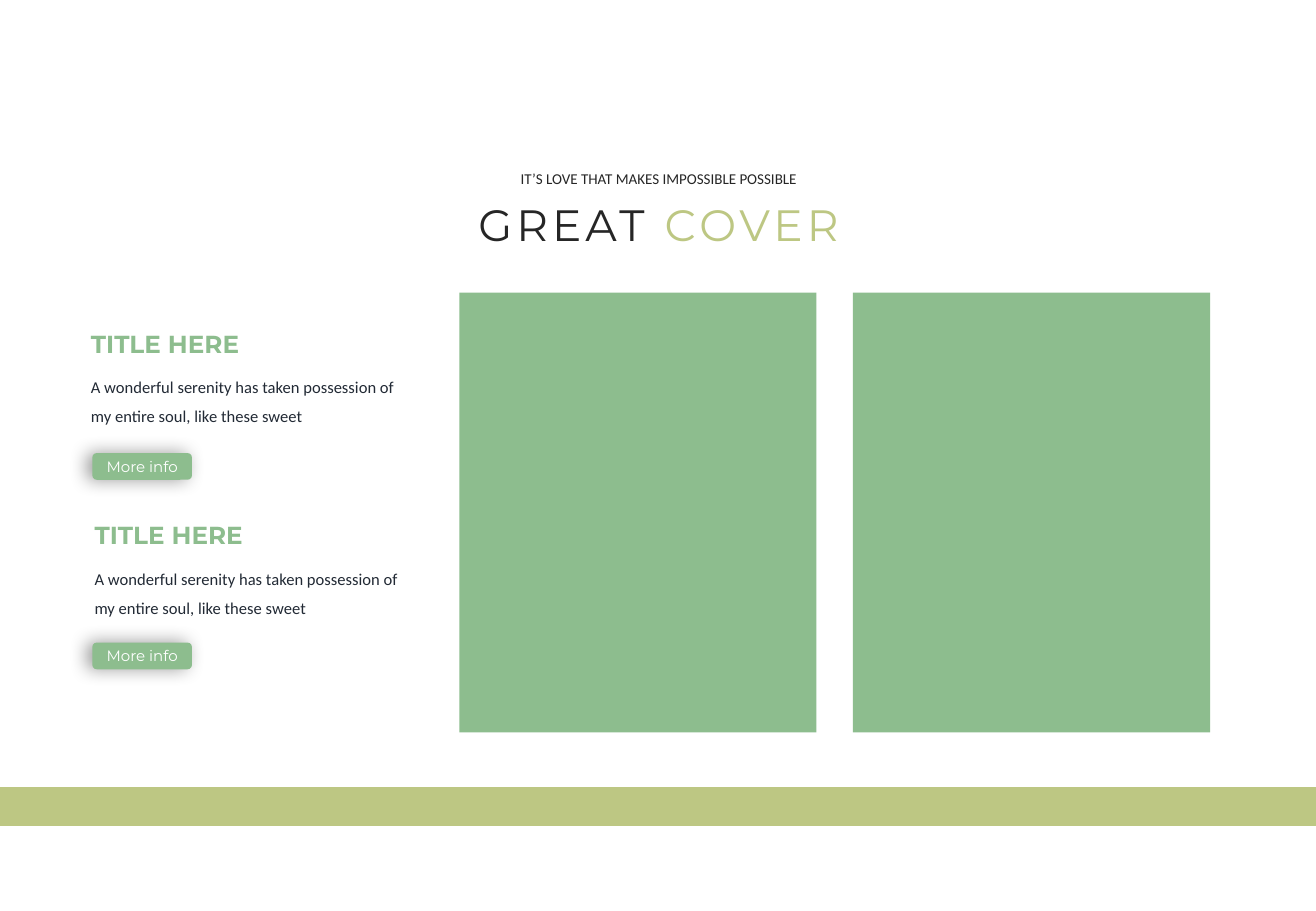
from dataclasses import dataclass

import pptx
import pptx.dml.color
import pptx.enum.shapes
import pptx.enum.text
import pptx.oxml
import pptx.oxml.ns
import pptx.shapes.autoshape
import pptx.slide
import pptx.text.text
import pptx.util
from pptx.util import Inches

GREEN = "8DBD8E"
OLIVE = "BDC783"
DARK = "262626"
NAVY = "222A35"
WHITE = "FFFFFF"

SHAPES = pptx.enum.shapes.MSO_SHAPE
ALIGN = pptx.enum.text.PP_ALIGN
ANCHOR = pptx.enum.text.MSO_ANCHOR


@dataclass(frozen=True)
class Box:
    left: float
    top: float
    width: float
    height: float

    def lengths(self) -> tuple[pptx.util.Length, ...]:
        return tuple(Inches(n) for n in (self.left, self.top, self.width, self.height))


@dataclass(frozen=True)
class TextStyle:
    font: str
    size: float
    color: str
    bold: bool = False
    align: ALIGN = ALIGN.LEFT
    line_spacing: float = 1.0


@dataclass(frozen=True)
class InfoBlock:
    heading: Box
    description: Box
    button: Box


TITLE = TextStyle("Montserrat", 26, DARK, align=ALIGN.CENTER)
SUBTITLE = TextStyle("Calibri", 8.9, DARK, align=ALIGN.CENTER)
HEADING = TextStyle("Montserrat", 14.6, GREEN, bold=True)
DESCRIPTION = TextStyle("Calibri", 9.8, NAVY, line_spacing=1.5)
BUTTON = TextStyle("Montserrat", 8.9, WHITE, align=ALIGN.CENTER)

PHOTO_PANELS = [Box(left, 2.41, 2.94, 3.62) for left in (3.78, 7.02)]
FOOTER_BAND = Box(0, 6.48, 10.83, 0.32)
INFO_BLOCKS = [
    InfoBlock(
        Box(left, top, 2.32, 0.35),
        Box(left, description_top, 2.67, 0.57),
        Box(0.76, button_top, 0.82, 0.22),
    )
    for left, top, description_top, button_top in (
        (0.65, 2.66, 2.97, 3.73),
        (0.68, 4.23, 4.55, 5.29),
    )
]


def rgb(color: str) -> pptx.dml.color.RGBColor:
    return pptx.dml.color.RGBColor.from_string(color)


def format_run(run: pptx.text.text._Run, style: TextStyle) -> None:
    run.font.name = style.font
    run.font.size = pptx.util.Pt(style.size)
    run.font.bold = style.bold
    run.font.color.rgb = rgb(style.color)


def write_text(frame: pptx.text.text.TextFrame, text: str, style: TextStyle) -> None:
    frame.text = text
    paragraph = frame.paragraphs[0]
    paragraph.alignment = style.align
    paragraph.line_spacing = style.line_spacing
    format_run(paragraph.runs[0], style)


def add_text(
    slide: pptx.slide.Slide, box: Box, text: str, style: TextStyle, wrap: bool = True
) -> None:
    frame = slide.shapes.add_textbox(*box.lengths()).text_frame
    frame.word_wrap = wrap
    frame.margin_right = Inches(0.05 if wrap else 0.1)
    write_text(frame, text, style)


def add_block(
    slide: pptx.slide.Slide, box: Box, color: str, kind: SHAPES = SHAPES.RECTANGLE
) -> pptx.shapes.autoshape.Shape:
    shape = slide.shapes.add_shape(kind, *box.lengths())
    shape.shadow.inherit = False
    shape.fill.solid()
    shape.fill.fore_color.rgb = rgb(color)
    shape.line.fill.background()
    return shape


def add_left_shadow(shape: pptx.shapes.autoshape.Shape) -> None:
    effects = shape._element.spPr.find(pptx.oxml.ns.qn("a:effectLst"))
    effects.append(
        pptx.oxml.parse_xml(
            f'<a:outerShdw {pptx.oxml.ns.nsdecls("a")} blurRad="{pptx.util.Pt(11)}" '
            f'dist="{pptx.util.Pt(3)}" dir="{180 * 60000}" algn="r" rotWithShape="0">'
            '<a:srgbClr val="000000"><a:alpha val="40000"/></a:srgbClr></a:outerShdw>'
        )
    )


def add_button(slide: pptx.slide.Slide, box: Box) -> None:
    button = add_block(slide, box, GREEN, SHAPES.ROUNDED_RECTANGLE)
    add_left_shadow(button)
    frame = button.text_frame
    frame.word_wrap = False
    frame.vertical_anchor = ANCHOR.MIDDLE
    write_text(frame, "More info", BUTTON)


def fill_title(slide: pptx.slide.Slide) -> None:
    title = slide.shapes.title
    title.left, title.top, title.width, title.height = Box(3.36, 1.58, 4.12, 0.54).lengths()
    frame = title.text_frame
    frame.auto_size = pptx.enum.text.MSO_AUTO_SIZE.NONE
    frame.vertical_anchor = ANCHOR.TOP
    write_text(frame, "GREAT ", TITLE)
    paragraph = frame.paragraphs[0]
    accent = paragraph.add_run()
    accent.text = "COVER"
    format_run(accent, TITLE)
    accent.font.color.rgb = rgb(OLIVE)
    for run in paragraph.runs:
        run._r.get_or_add_rPr().set("spc", "240")


def main() -> None:
    presentation = pptx.Presentation()
    presentation.slide_width = Inches(10.83)
    presentation.slide_height = Inches(7.5)
    slide = presentation.slides.add_slide(presentation.slide_layouts.get_by_name("Title Only"))

    for panel in PHOTO_PANELS:
        add_block(slide, panel, GREEN)
    add_block(slide, FOOTER_BAND, OLIVE)

    fill_title(slide)
    add_text(
        slide,
        Box(4.16, 1.35, 2.52, 0.25),
        "IT’S LOVE THAT MAKES IMPOSSIBLE POSSIBLE",
        SUBTITLE,
        wrap=False,
    )

    for block in INFO_BLOCKS:
        add_text(slide, block.heading, "TITLE HERE", HEADING)
        add_text(
            slide,
            block.description,
            "A wonderful serenity has taken possession of my entire soul, like these sweet",
            DESCRIPTION,
        )
        add_button(slide, block.button)

    presentation.save("out.pptx")


if __name__ == "__main__":
    main()
